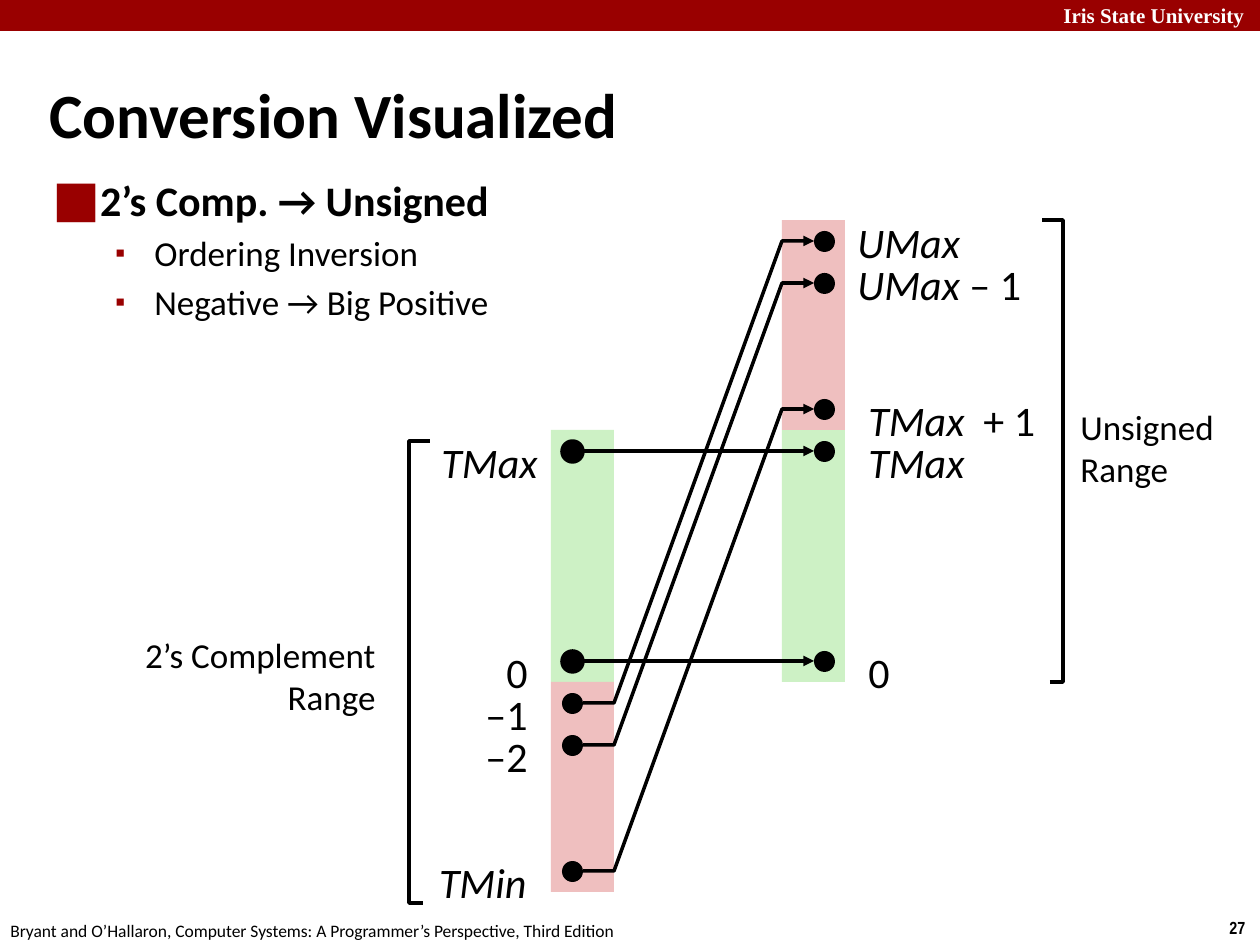
from lxml import etree
from pptx import Presentation
from pptx import util as u
from pptx.dml.color import RGBColor
from pptx.enum import shapes, text
from pptx.oxml import ns

PX = 914400 / 126
BLACK, WHITE, RED = "000000", "FFFFFF", "990000"
GREEN_BAR, RED_BAR = "CDF1C5", "EFBFBF"
LEFT, RIGHT = text.PP_ALIGN.LEFT, text.PP_ALIGN.RIGHT

# Diagram grid: one value per row
STEP, FIRST_ROW, DOT = 42, 241, 21
ROW = {"UMax": 0, "UMax-1": 1, "TMax+1": 4, "TMax": 5,
       "0": 10, "-1": 11, "-2": 12, "TMin": 15}
SIGNED_BAR, UNSIGNED_BAR, BAR_WIDTH = 551, 782, 63
SIGNED_DOT, UNSIGNED_DOT = 562, 814


def px(count):
    return u.Emu(round(count * PX))


def color(value):
    return RGBColor.from_string(value)


def row_y(name):
    return FIRST_ROW + STEP * ROW[name]


def add_child(parent, tag, **attributes):
    return etree.SubElement(parent, ns.qn(tag), **attributes)


def add_solid(page, kind, left, top, width, height, fill, outlined=False):
    shape = page.shapes.add_shape(kind, px(left), px(top), px(width), px(height))
    shape.shadow.inherit = False
    shape.fill.solid()
    shape.fill.fore_color.rgb = color(fill)
    if outlined:
        style_line(shape.line)
    else:
        shape.line.fill.background()


def add_bar(page, left, top, width, height, fill):
    add_solid(page, shapes.MSO_SHAPE.RECTANGLE, left, top, width, height, fill)


def add_dot(page, left, name, outlined=False):
    add_solid(page, shapes.MSO_SHAPE.OVAL, left, row_y(name) - DOT // 2,
              DOT, DOT, BLACK, outlined)


def style_line(line, arrow=False):
    line.color.rgb = color(BLACK)
    line.width = u.Pt(2)
    if arrow:
        add_child(line._get_or_add_ln(), "a:tailEnd", type="triangle")


def add_arrow(page, start, end):
    arrow = page.shapes.add_connector(
        shapes.MSO_CONNECTOR.STRAIGHT, *[px(value) for value in start + end])
    style_line(arrow.line, arrow=True)
    add_child(arrow._element.spPr, "a:effectLst")


def add_polyline(page, points, arrow=False):
    builder = page.shapes.build_freeform(*points[0], scale=PX)
    builder.add_line_segments(points[1:], close=False)
    outline = builder.convert_to_shape()
    outline.shadow.inherit = False
    outline.fill.background()
    style_line(outline.line, arrow)


def format_run(run, size, font="Calibri", fill=BLACK, bold=False, italic=False):
    run.font.size = u.Pt(size)
    run.font.name = font
    run.font.color.rgb = color(fill)
    run.font.bold = bold
    run.font.italic = italic


def add_text(page, left, top, width, height, words, size, align=LEFT, **style):
    box = page.shapes.add_textbox(px(left), px(top), px(width), px(height))
    box.text_frame.word_wrap = True
    box.text_frame.text = words
    for para in box.text_frame.paragraphs:
        para.alignment = align
        for run in para.runs:
            format_run(run, size, **style)
    return box


def add_label(page, left, top, width, name="", number="", align=LEFT):
    """A value label: an italic name, then an upright number."""
    box = add_text(page, left, top, width, 64, name, 24, align, italic=True)
    if number:
        run = box.text_frame.paragraphs[0].add_run()
        run.text = number
        format_run(run, 24)


def add_bullet(para, mark, margin, indent, percent):
    props = para._p.get_or_add_pPr()
    props.set("marL", str(px(margin)))
    props.set("indent", str(-px(indent)))
    mark_color = add_child(props, "a:buClr")
    add_child(mark_color, "a:srgbClr", val=RED)
    add_child(props, "a:buSzPct", val=str(percent * 1000))
    add_child(props, "a:buFont", typeface="Calibri")
    add_child(props, "a:buChar", char=mark)


def add_outline(page):
    lines = ["2’s Comp. → Unsigned", "Ordering Inversion", "Negative → Big Positive"]
    box = add_text(page, 40, 168, 573, 237, "\n".join(lines), 20)
    heading, *details = box.text_frame.paragraphs
    format_run(heading.runs[0], 24, bold=True)
    add_bullet(heading, "■", 47, 47, 120)
    for para in details:
        para.level = 1
        para.space_before = u.Pt(4)
        add_bullet(para, "▪", 102, 39, 80)


def add_frame(page):
    add_bar(page, 0, 0, 1260, 31, RED)
    add_text(page, 1051, -4, 218, 38, "Iris State University", 12,
             font="Times New Roman", fill=WHITE, bold=True)
    add_text(page, 1217, 911, 43, 34, "27", 10, font="Arial Narrow", bold=True)
    add_text(page, -2, 914, 640, 34, "Bryant and O’Hallaron, Computer Systems: "
             "A Programmer’s Perspective, Third Edition", 10)
    title = add_text(page, 37, 73, 1095, 80, "Conversion Visualized", 36, bold=True)
    title.text_frame.vertical_anchor = text.MSO_ANCHOR.MIDDLE


def add_mapping(page):
    # Value ranges
    for left, red_top in ((SIGNED_BAR, 682), (UNSIGNED_BAR, 220)):
        add_bar(page, left, 430, BAR_WIDTH, 252, GREEN_BAR)
        add_bar(page, left, red_top, BAR_WIDTH, 210, RED_BAR)

    # Values that stay the same
    for name in ("0", "TMax"):
        add_dot(page, SIGNED_DOT, name, outlined=True)
        add_dot(page, UNSIGNED_DOT, name)
        add_arrow(page, (SIGNED_DOT + DOT, row_y(name)), (UNSIGNED_DOT, row_y(name)))

    # Negative values that become large positive ones
    for source, target in (("-1", "UMax"), ("-2", "UMax-1"), ("TMin", "TMax+1")):
        add_dot(page, SIGNED_DOT, source)
        add_dot(page, UNSIGNED_DOT, target)
        add_polyline(page, [(SIGNED_DOT + DOT, row_y(source)),
                            (SIGNED_BAR + BAR_WIDTH, row_y(source)),
                            (UNSIGNED_BAR, row_y(target)),
                            (UNSIGNED_DOT, row_y(target))], arrow=True)


def add_labels(page):
    # Signed values end at a right edge
    for row, name, number, edge in (("TMax", "TMax", "", 550), ("0", "", "0", 540),
                                    ("-1", "", "–1", 540), ("-2", "", "–2", 540),
                                    ("TMin", "TMin", "", 539)):
        add_label(page, edge - 126, row_y(row) - 21, 126, name, number, RIGHT)

    # Unsigned values start at a left edge
    for row, name, number, left, rise in (("UMax", "UMax", "", 845, 31),
                                          ("UMax-1", "UMax", " – 1", 845, 31),
                                          ("TMax+1", "TMax  ", "+ 1", 856, 21),
                                          ("TMax", "TMax", "", 856, 21),
                                          ("0", "", "0", 856, 21)):
        add_label(page, left, row_y(row) - rise, 199, name, number)

    # Brackets with the names of the ranges
    add_polyline(page, [(423, 903), (409, 903), (409, 441), (430, 441)])
    add_polyline(page, [(1050, 682), (1063, 682), (1063, 220), (1042, 220)])
    add_text(page, 94, 627, 294, 97, "2’s Complement Range", 20, RIGHT)
    add_text(page, 1068, 399, 162, 97, "Unsigned\nRange", 20)


def main():
    deck = Presentation()
    deck.slide_width, deck.slide_height = px(1260), px(945)
    page = deck.slides.add_slide(deck.slide_layouts[6])
    add_frame(page)
    add_mapping(page)
    add_labels(page)
    add_outline(page)
    deck.save("out.pptx")


if __name__ == "__main__":
    main()
